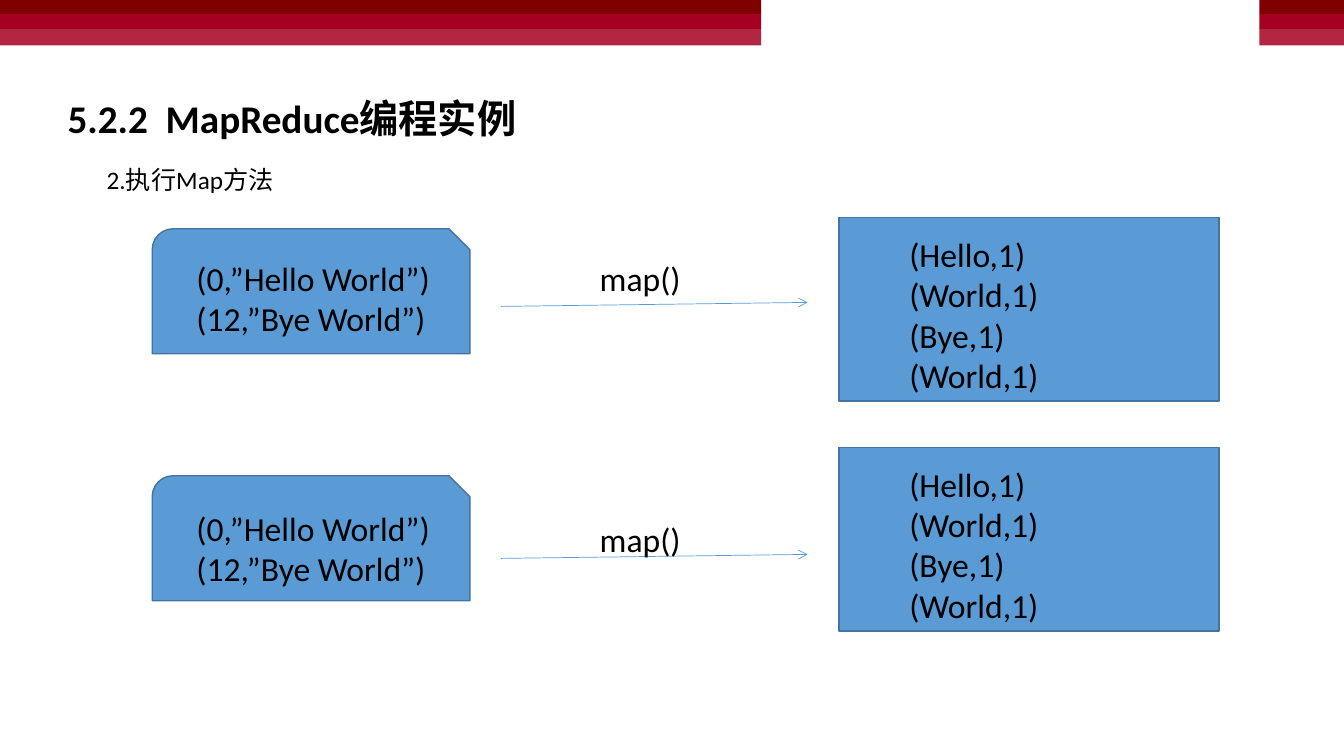
from dataclasses import dataclass
from typing import NamedTuple

from lxml.etree import SubElement
from pptx import Presentation
from pptx.dml.color import RGBColor
from pptx.enum.shapes import MSO_CONNECTOR as Conn, MSO_SHAPE as Geo
from pptx.enum.text import MSO_ANCHOR as Anchor, MSO_AUTO_SIZE as Fit, PP_ALIGN as Align
from pptx.oxml.ns import qn
from pptx.util import Inches, Pt


@dataclass(frozen=True)
class Theme:
    font: str = "Calibri"
    title: int = 28
    subtitle: int = 18
    body: int = 24
    text: str = "000000"
    box: str = "5B9BD5"
    outline: str = "43739E"
    bands: tuple[str, ...] = ("800000", "A50021", "B22642")


class Box(NamedTuple):
    left: float
    top: float
    width: float
    height: float


class Step(NamedTuple):
    """Tops of the parts of one map() step."""
    card: float
    pairs: float
    label: float
    arrow: float
    result: float


THEME = Theme()
PAIRS = "(0,”Hello World”)\n(12,”Bye World”)"
COUNTS = "(Hello,1)\n(World,1)\n(Bye,1)\n(World,1)"
STEPS = (
    Step(card=2.27, pairs=2.51, label=2.51, arrow=3.04, result=2.16),
    Step(card=4.72, pairs=4.99, label=5.1, arrow=5.54, result=4.44),
)
BAND_TOPS = (0, 0.14, 0.29, 0.45)
BAND_SPANS = ((0, 7.55), (12.49, 0.84))


def color(code: str) -> RGBColor:
    return RGBColor.from_string(code)


def place(sp, box: Box) -> None:
    sp.left, sp.top, sp.width, sp.height = map(Inches, box)


def write(sp, text: str, size: int, bold: bool = False) -> None:
    tf = sp.text_frame
    tf.text = text
    tf.word_wrap = True
    tf.auto_size = Fit.NONE
    tf.vertical_anchor = Anchor.TOP
    for p in tf.paragraphs:
        p.alignment = Align.LEFT
        for r in p.runs:
            r.font.name = THEME.font
            r.font.size = Pt(size)
            r.font.bold = bold
            r.font.color.rgb = color(THEME.text)


def add_text(box: Box, text: str, size: int = THEME.body) -> None:
    write(slide.shapes.add_textbox(*map(Inches, box)), text, size)


def add_box(geo: Geo, box: Box, fill: str, outline: str | None = None) -> None:
    sp = slide.shapes.add_shape(geo, *map(Inches, box))
    sp.shadow.inherit = False
    sp.fill.solid()
    sp.fill.fore_color.rgb = color(fill)
    if outline:
        sp.line.color.rgb = color(outline)
        sp.line.width = Pt(1)
    else:
        sp.line.fill.background()


def add_arrow(left: float, top: float, right: float, bottom: float) -> None:
    ends = map(Inches, (left, top, right, bottom))
    line = slide.shapes.add_connector(Conn.STRAIGHT, *ends)
    line.line.color.rgb = color(THEME.box)
    line.line.width = Pt(0.5)
    SubElement(line.line._get_or_add_ln(), qn("a:tailEnd"), type="arrow")
    SubElement(line._element.spPr, qn("a:effectLst"))


def add_step(step: Step) -> None:
    add_box(Geo.SNIP_ROUND_RECTANGLE, Box(1.51, step.card, 3.15, 1.24),
            THEME.box, THEME.outline)
    add_text(Box(1.85, step.pairs, 2.68, 0.91), PAIRS)
    add_arrow(4.97, step.arrow, 8.01, step.arrow - 0.04)
    add_text(Box(5.85, step.label, 2.17, 0.5), "map()")
    add_box(Geo.RECTANGLE, Box(8.32, step.result, 3.77, 1.82),
            THEME.box, THEME.outline)
    add_text(Box(8.92, step.result + 0.11, 2.21, 1.72), COUNTS)


prs = Presentation()
prs.slide_width, prs.slide_height = Inches(13.33), Inches(7.5)
slide = prs.slides.add_slide(prs.slide_layouts[5])

# Header bands
for left, width in BAND_SPANS:
    for fill, top, bottom in zip(THEME.bands, BAND_TOPS, BAND_TOPS[1:]):
        add_box(Geo.RECTANGLE, Box(left, top, width, bottom - top), fill)

# Headings
place(slide.shapes.title, Box(0.57, 0.89, 10.56, 0.57))
write(slide.shapes.title, "5.2.2  MapReduce编程实例", THEME.title, bold=True)
add_text(Box(0.96, 1.58, 2.92, 0.4), "2.执行Map方法", THEME.subtitle)

# Map steps: input pairs, arrow, emitted counts
for step in STEPS:
    add_step(step)

prs.save("out.pptx")
